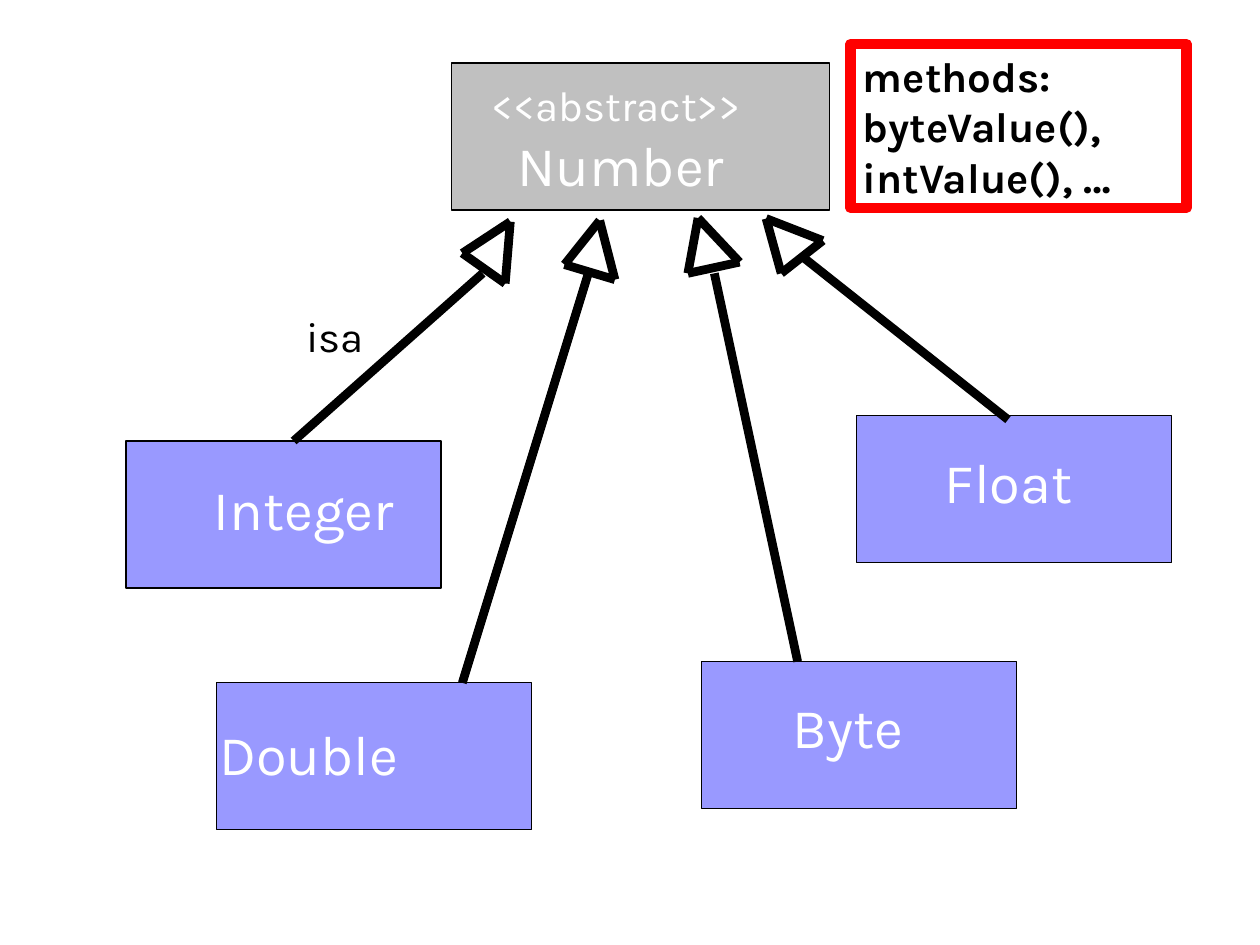
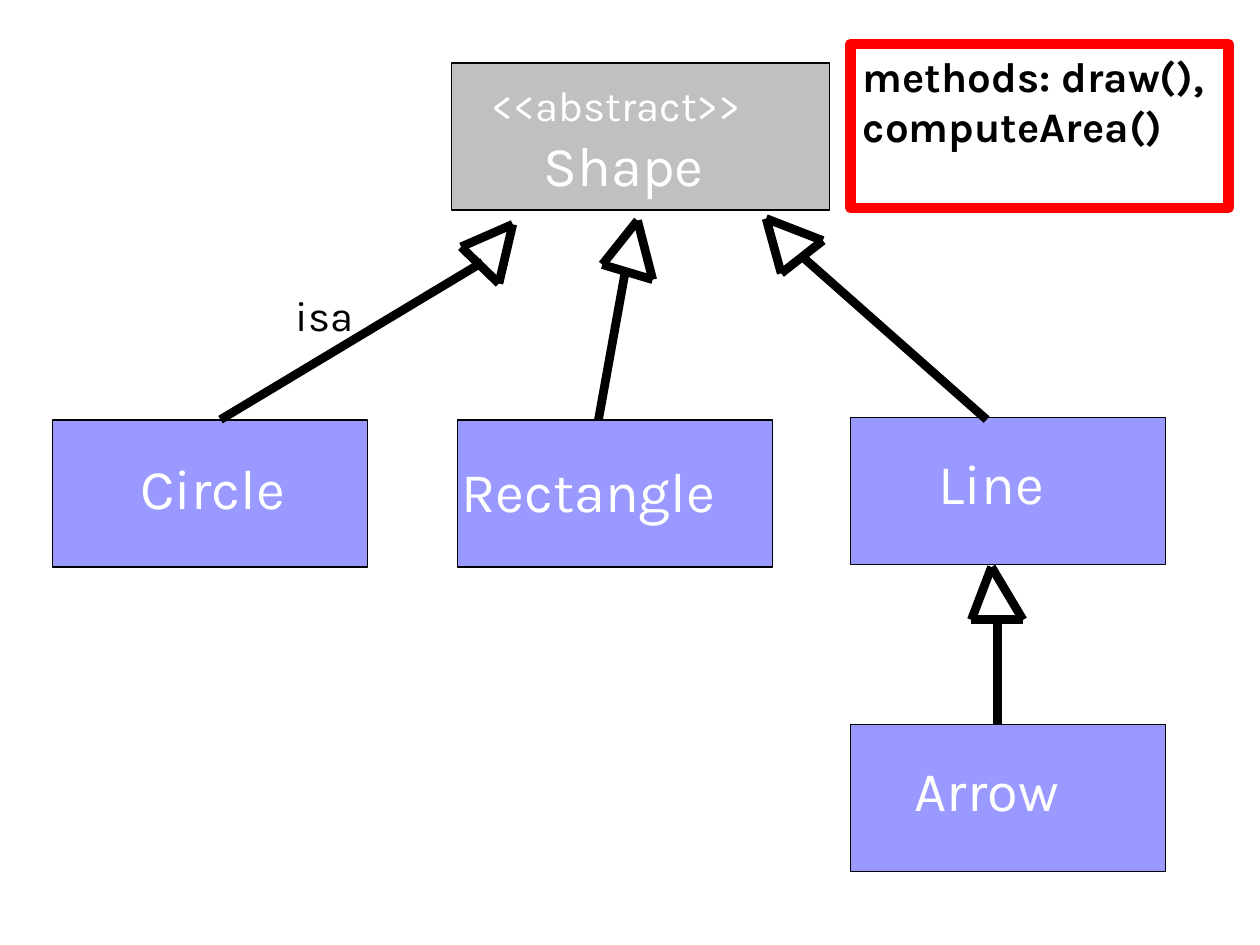
import pptx
import pptx.util
import pptx.dml.color
import pptx.enum.shapes
import pptx.enum.text
from dataclasses import dataclass
from lxml import etree

Pt = pptx.util.Pt
RGB = pptx.dml.color.RGBColor.from_string
RECT = pptx.enum.shapes.MSO_SHAPE.RECTANGLE
STRAIGHT = pptx.enum.shapes.MSO_CONNECTOR.STRAIGHT
TOP = pptx.enum.text.MSO_ANCHOR.TOP
LEFT = pptx.enum.text.PP_ALIGN.LEFT


@dataclass(frozen=True)
class Theme:
    font: str = "Karla"
    child: str = "9999FF"
    base: str = "C0C0C0"
    ink: str = "000000"
    light: str = "FFFFFF"
    alert: str = "FF0000"
    large: int = 32
    small: int = 24
    thin: float = 0.75
    thick: float = 5
    frame: float = 6


theme = Theme()


def add_box(slide, place, fill, edge, weight):
    box = slide.shapes.add_shape(RECT, *map(Pt, place))
    box.shadow.inherit = False
    if fill:
        box.fill.solid()
        box.fill.fore_color.rgb = RGB(fill)
    else:
        box.fill.background()
    box.line.color.rgb = RGB(edge)
    box.line.width = Pt(weight)
    return box


def write(shape, rows, color, bold=False):
    frame = shape.text_frame
    frame.word_wrap = True
    frame.vertical_anchor = TOP
    for i, (words, size, indent) in enumerate(rows):
        para = frame.add_paragraph() if i else frame.paragraphs[0]
        para.alignment = LEFT
        if indent:
            para._p.get_or_add_pPr().set("marL", str(Pt(indent)))
        run = para.add_run()
        run.text = words
        run.font.name = theme.font
        run.font.size = Pt(size)
        run.font.bold = bold
        run.font.color.rgb = RGB(color)


float_head = [(446.4, 156.2), (437.8, 124.9), (470.2, 137.5)]

charts = [
    {
        "parent": ("Number", 15),
        "methods": ("methods: byteValue(), intValue(), …", 192),
        "isa": (168, 174),
        "nodes": [
            ("Integer", 72, 252, 43.2, 15.8),
            ("Double", 123.8, 390.2, -5.5, 17.3),
            ("Float", 489.6, 237.6, 43.2, 14.4),
            ("Byte", 401, 378, 44.7, 14.4),
        ],
        "arrows": [
            ([(264.2, 144.7), (291.6, 126.7), (288.7, 162)], (275.8, 156.2), (167.8, 252)),
            ([(322.6, 151.2), (342.7, 126), (351.4, 159.8)], (336.2, 156.2), (264.2, 390.2)),
            (float_head, (457.9, 146.2), (576, 239.8)),
            ([(393.1, 156.2), (398.9, 124.6), (422.6, 149.8)], (408.2, 156.2), (455.8, 378)),
        ],
    },
    {
        "parent": ("Shape", 30),
        "methods": ("methods: draw(), computeArea()", 216),
        "isa": (162, 162),
        "nodes": [
            ("Circle", 30, 240, 43.2, 15.8),
            ("Rectangle", 261.6, 240, -5.1, 17.2),
            ("Line", 486, 238.5, 43.2, 14.2),
            ("Arrow", 486, 414, 29.7, 14.4),
        ],
        "arrows": [
            ([(263.5, 141.1), (293, 128.2), (285.1, 162)], (275.8, 149.8), (126, 239.8)),
            ([(344.2, 151.2), (364.3, 126), (373, 159.8)], (357.1, 156.2), (342, 239.8)),
            (float_head, (457.9, 146.2), (563.8, 239.8)),
            ([(555.1, 354.2), (566.6, 324), (584.6, 354.2)], (570.2, 354.2), (570.2, 414)),
        ],
    },
]

deck = pptx.Presentation()
deck.slide_width = Pt(720)
deck.slide_height = Pt(540)

for chart in charts:
    slide = deck.slides.add_slide(deck.slide_layouts[6])

    for name, x, y, dx, dy in chart["nodes"]:
        add_box(slide, (x, y, 180, 84), theme.child, theme.ink, theme.thin)
        label = slide.shapes.add_textbox(Pt(x + dx), Pt(y + dy), Pt(180), Pt(46))
        write(label, [(name, theme.large, 0)], theme.light)

    add_box(slide, (258, 36, 216, 84), theme.base, theme.ink, theme.thin)
    name, indent = chart["parent"]
    label = slide.shapes.add_textbox(Pt(273.6), Pt(42), Pt(189), Pt(75))
    write(label, [("<<abstract>>", theme.small, 0), (name, theme.large, indent)], theme.light)

    for head, start, end in chart["arrows"]:
        left, tip, right = head
        for a, b in [(left, tip), (tip, right), (left, right), (start, end)]:
            line = slide.shapes.add_connector(STRAIGHT, *map(Pt, a + b))
            line.line.color.rgb = RGB(theme.ink)
            line.line.width = Pt(theme.thick)
            props = line._element.spPr
            etree.SubElement(props, pptx.oxml.ns.qn("a:effectLst"))

    x, y = chart["isa"]
    label = slide.shapes.add_textbox(Pt(x), Pt(y), Pt(54), Pt(36))
    write(label, [("isa", theme.small, 0)], theme.ink)

    words, width = chart["methods"]
    note = add_box(slide, (486, 25.2, width, 93.6), None, theme.alert, theme.frame)
    write(note, [(words, theme.small, 0)], theme.ink, True)

deck.save("out.pptx")
